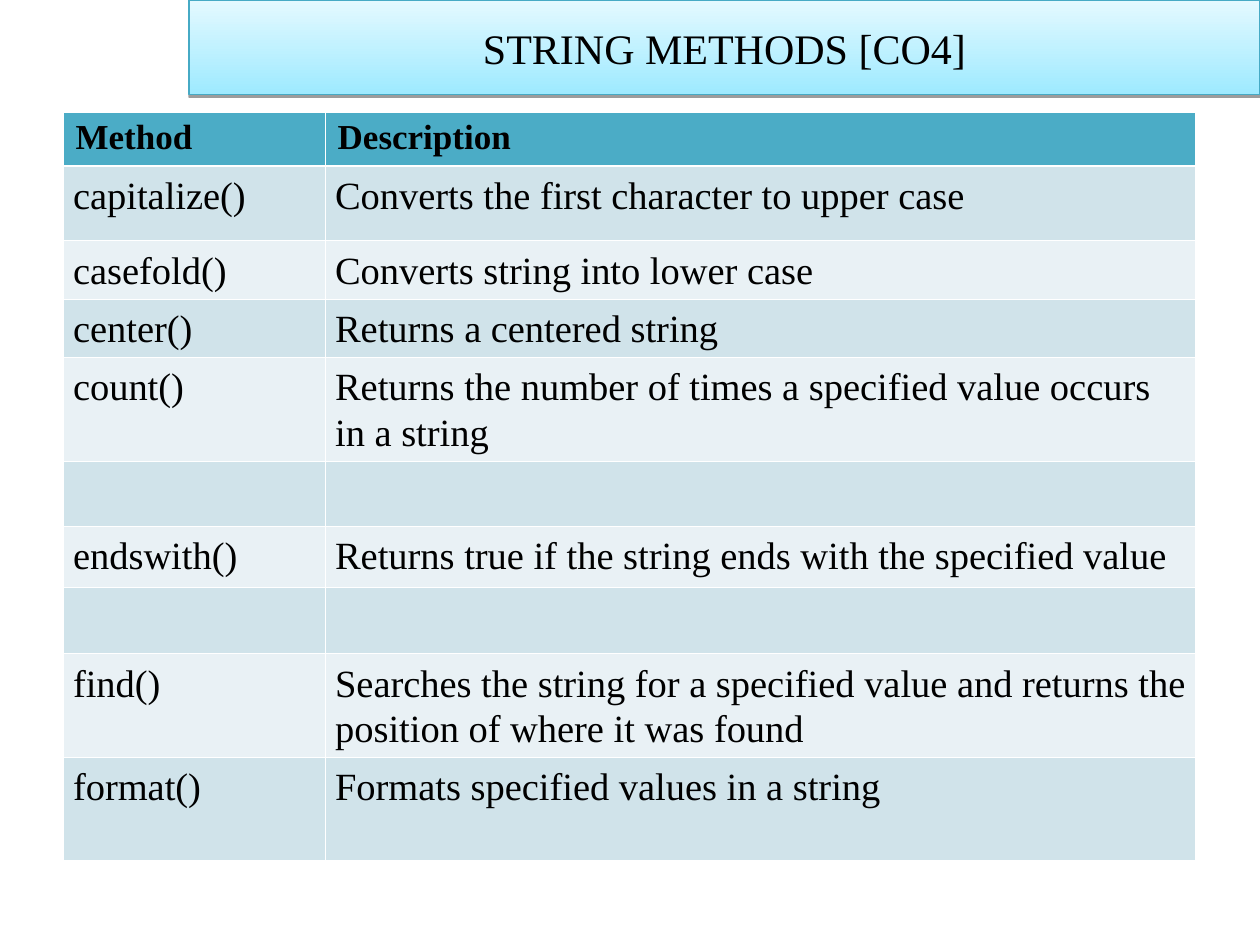
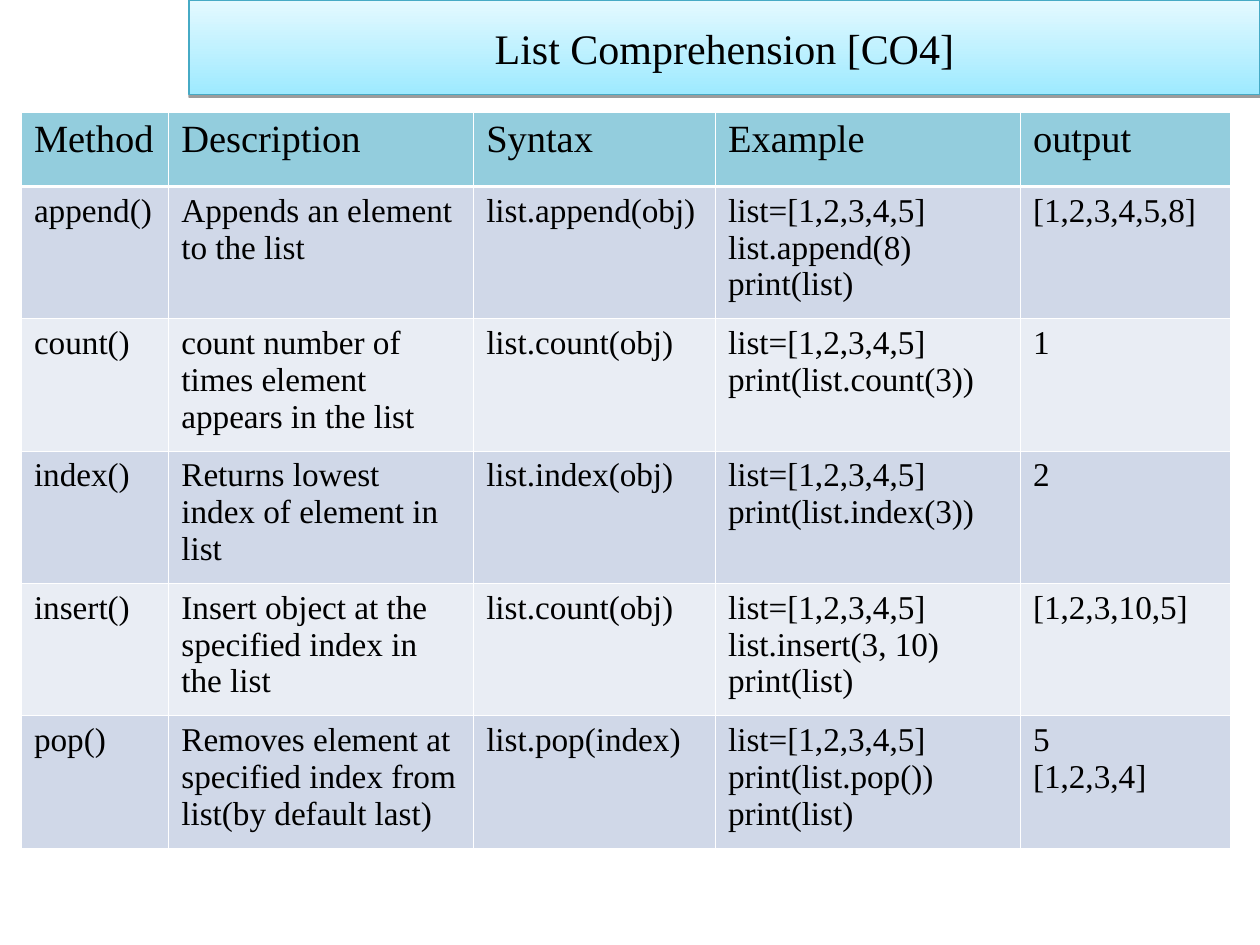
from lxml import etree
from pptx import Presentation
from pptx.dml.color import RGBColor
from pptx.enum import text
from pptx.oxml import parse_xml
from pptx.oxml.ns import nsdecls, qn
from pptx.util import Inches, Pt

FONT = "Times New Roman"
INK, WHITE = "000000", "FFFFFF"
THIN, THICK = 0.45, 1.47
SHADOW = f"""<a:effectLst {nsdecls("a")}>
  <a:outerShdw dist="20320" dir="5400000" rotWithShape="0">
    <a:srgbClr val="{INK}"><a:alpha val="38000"/></a:srgbClr>
  </a:outerShdw>
</a:effectLst>"""


def rgb(code):
    return RGBColor.from_string(code)


class Deck:
    def __init__(self):
        self.prs = Presentation()
        self.prs.slide_width = Inches(10)
        self.prs.slide_height = Inches(7.5)
        self.slide = None

    def style(self, para, size, bold=False):
        font = para.font
        font.name, font.size, font.bold = FONT, Pt(size), bold
        font.color.rgb = rgb(INK)

    def page(self, words):
        """Start a slide with the shaded title band."""
        self.slide = self.prs.slides.add_slide(self.prs.slide_layouts[5])
        band = self.slide.shapes.title
        band.left, band.top = Inches(1.5), Inches(0)
        band.width, band.height = Inches(8.5), Inches(0.75)
        band.fill.gradient()
        band.fill.gradient_angle = 90
        for stop, code in zip(band.fill.gradient_stops, ("9EEAFF", "E4F9FF")):
            stop.color.rgb = rgb(code)
        band.line.color.rgb = rgb("46AAC5")
        band.line.width = Pt(0.75)
        band._element.spPr.append(parse_xml(SHADOW))
        frame = band.text_frame
        frame.text = words
        frame.word_wrap = True
        frame.auto_size = text.MSO_AUTO_SIZE.NONE
        frame.vertical_anchor = text.MSO_ANCHOR.MIDDLE
        frame.paragraphs[0].alignment = text.PP_ALIGN.CENTER
        self.style(frame.paragraphs[0], 24)

    def edges(self, cell, row):
        """Draw white cell borders, thicker under the header."""
        props = cell._tc.get_or_add_tcPr()
        wide = {"T": THICK if row == 1 else THIN,
                "B": THICK if row == 0 else THIN}
        for side in "LRTB":
            line = etree.SubElement(props, qn(f"a:ln{side}"),
                                    w=str(Pt(wide.get(side, THIN))))
            fill = etree.SubElement(line, qn("a:solidFill"))
            etree.SubElement(fill, qn("a:srgbClr"), val=WHITE)

    def table(self, left, cols, rows, data, fills, sizes,
              bold=False, inset=0.1, space=None):
        """Add a banded table; fills are header, odd rows, even rows."""
        grid = self.slide.shapes.add_table(
            len(rows), len(cols), Inches(left), Inches(0.89),
            Inches(sum(cols)), Inches(sum(rows))).table
        grid.first_row = grid.horz_banding = False
        for col, width in zip(grid.columns, cols):
            col.width = Inches(width)
        for r, (line, high) in enumerate(zip(data, rows)):
            grid.rows[r].height = Inches(high)
            head = r == 0
            for c, words in enumerate(line):
                cell = grid.cell(r, c)
                self.edges(cell, r)
                cell.fill.solid()
                cell.fill.fore_color.rgb = rgb(fills[0 if head else 2 - r % 2])
                pad = Inches(0.1 if head else inset)
                cell.margin_left = cell.margin_right = pad
                cell.text = words
                for para in cell.text_frame.paragraphs:
                    self.style(para, sizes[0 if head else 1], bold and head)
                    if space and not head:
                        para.line_spacing = space


# Table contents
STRINGS = [
    ("Method", "Description"),
    ("capitalize()", "Converts the first character to upper case"),
    ("casefold()", "Converts string into lower case"),
    ("center()", "Returns a centered string"),
    ("count()", "Returns the number of times a specified value occurs in a string"),
    ("", ""),
    ("endswith()", "Returns true if the string ends with the specified value"),
    ("", ""),
    ("find()", "Searches the string for a specified value and returns the "
               "position of where it was found"),
    ("format()", "Formats specified values in a string"),
]
SETUP = "list=[1,2,3,4,5]\n"
LISTS = [
    ("Method", "Description", "Syntax", "Example", "output"),
    ("append()", "Appends an element to the list", "list.append(obj)",
     SETUP + "list.append(8)\nprint(list)", "[1,2,3,4,5,8]"),
    ("count()", "count number of times element appears in the list",
     "list.count(obj)", SETUP + "print(list.count(3))", "1"),
    ("index()", "Returns lowest index of element in list",
     "list.index(obj)", SETUP + "print(list.index(3))", "2"),
    ("insert()", "Insert object at the specified index in the list",
     "list.count(obj)", SETUP + "list.insert(3, 10)\nprint(list)",
     "[1,2,3,10,5]"),
    ("pop()", "Removes element at specified index from list(by default last)",
     "list.pop(index)", SETUP + "print(list.pop())\nprint(list)",
     "5\n[1,2,3,4]"),
]


def main():
    deck = Deck()

    # String methods
    deck.page("STRING METHODS [CO4]")
    deck.table(0.5, [2.08, 6.91],
               [0.43, 0.59, 0.46, 0.46, 0.82, 0.52, 0.48, 0.53, 0.82, 0.82],
               STRINGS, ("4BACC6", "D0E3EA", "E9F1F5"), (20, 22),
               bold=True, inset=0.08, space=1.07)

    # List methods
    deck.page("List Comprehension [CO4]")
    deck.table(0.17, [1.17, 2.42, 1.92, 2.42, 1.67], [0.59] + [1.05] * 5,
               LISTS, ("93CDDD", "D0D8E8", "E9EDF4"), (22, 19))

    deck.prs.save("out.pptx")


if __name__ == "__main__":
    main()
